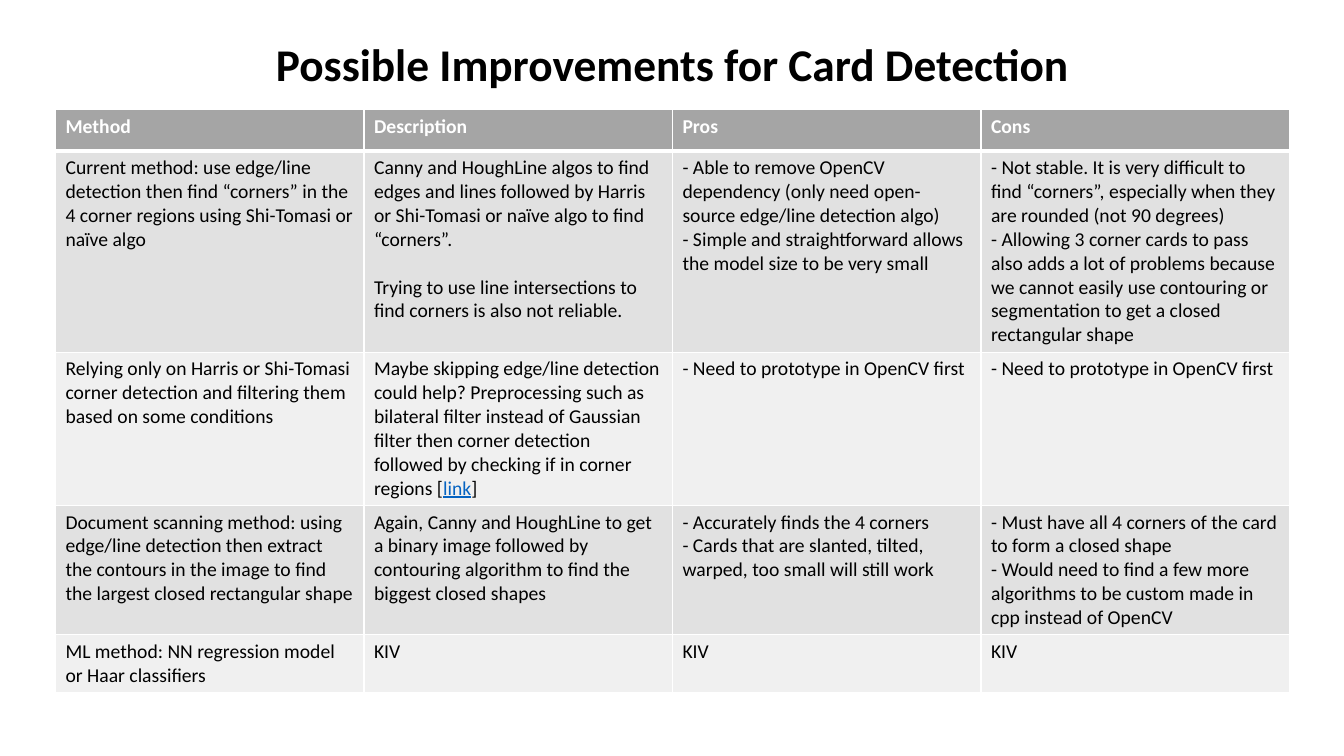
import pptx
import pptx.util
import pptx.dml.color
import pptx.enum.text
import pptx.oxml
import pptx.oxml.ns

Inches = pptx.util.Inches
Pt = pptx.util.Pt
RGBColor = pptx.dml.color.RGBColor

BLACK = RGBColor(0x00, 0x00, 0x00)
WHITE = RGBColor(0xFF, 0xFF, 0xFF)
HEAD = RGBColor(0xA5, 0xA5, 0xA5)
DARK = RGBColor(0xE1, 0xE1, 0xE1)
LIGHT = RGBColor(0xF0, 0xF0, 0xF0)
BLUE = RGBColor(0x05, 0x63, 0xC1)


def add_run(para, text, size, color, bold=False):
    run = para.add_run()
    run.text = text
    run.font.name = "Calibri"
    run.font.size = Pt(size)
    run.font.bold = bold
    run.font.color.rgb = color
    return run


def add_edge(cell, side, width):
    props = cell._tc.get_or_add_tcPr()
    props.append(pptx.oxml.parse_xml(
        f'<a:{side} {pptx.oxml.ns.nsdecls("a")} w="{Pt(width)}">'
        f'<a:solidFill><a:srgbClr val="{WHITE}"/></a:solidFill></a:{side}>'))


deck = pptx.Presentation()
deck.slide_width = Inches(13.33)
deck.slide_height = Inches(7.5)
slide = deck.slides.add_slide(deck.slide_layouts[5])

title = slide.shapes.title
title.left, title.top = Inches(0.92), Inches(0.4)
title.width, title.height = Inches(11.5), Inches(0.53)
frame = title.text_frame
frame.word_wrap = True
frame.auto_size = pptx.enum.text.MSO_AUTO_SIZE.NONE
frame.vertical_anchor = pptx.enum.text.MSO_ANCHOR.MIDDLE
para = frame.paragraphs[0]
para.alignment = pptx.enum.text.PP_ALIGN.CENTER
para.line_spacing = 0.9
add_run(para, "Possible Improvements for Card Detection", 32.4, BLACK, True)

LINK = "link"
rows = [
    [["Method"], ["Description"], ["Pros"], ["Cons"]],
    [
        ["Current method: use edge/line detection then find “corners” in the 4 corner regions using Shi-Tomasi or naïve algo"],
        ["Canny and HoughLine algos to find edges and lines followed by Harris or Shi-Tomasi or naïve algo to find “corners”.",
         "Trying to use line intersections to find corners is also not reliable."],
        ["- Able to remove OpenCV dependency (only need open-source edge/line detection algo)",
         "- Simple and straightforward allows the model size to be very small"],
        ["- Not stable. It is very difficult to find “corners”, especially when they are rounded (not 90 degrees)",
         "- Allowing 3 corner cards to pass also adds a lot of problems because we cannot easily use contouring or segmentation to get a closed rectangular shape"],
    ],
    [
        ["Relying only on Harris or Shi-Tomasi corner detection and filtering them based on some conditions"],
        [("Maybe skipping edge/line detection could help? Preprocessing such as bilateral filter instead of Gaussian filter then corner detection followed by checking if in corner regions [",
          LINK, "]")],
        ["- Need to prototype in OpenCV first"],
        ["- Need to prototype in OpenCV first"],
    ],
    [
        ["Document scanning method: using edge/line detection then extract the contours in the image to find the largest closed rectangular shape"],
        ["Again, Canny and HoughLine to get a binary image followed by contouring algorithm to find the biggest closed shapes"],
        ["- Accurately finds the 4 corners",
         "- Cards that are slanted, tilted, warped, too small will still work"],
        ["- Must have all 4 corners of the card to form a closed shape",
         "- Would need to find a few more algorithms to be custom made in cpp instead of OpenCV"],
    ],
    [["ML method: NN regression model or Haar classifiers"], ["KIV"], ["KIV"], ["KIV"]],
]
heights = [0.41, 1.98, 1.51, 1.28, 0.57]

table = slide.shapes.add_table(
    len(rows), 4, Inches(0.55), Inches(1.09), Inches(12.24), Inches(5.71)).table
for col in table.columns:
    col.width = Inches(3.06)

for r, row in enumerate(rows):
    table.rows[r].height = Inches(heights[r])
    fill = HEAD if r == 0 else DARK if r % 2 else LIGHT
    color = WHITE if r == 0 else BLACK
    for c, lines in enumerate(row):
        cell = table.cell(r, c)
        for side in ("lnL", "lnR", "lnT", "lnB"):
            thick = (r, side) in ((0, "lnB"), (1, "lnT"))
            add_edge(cell, side, 3 if thick else 1)
        cell.fill.solid()
        cell.fill.fore_color.rgb = fill
        for n, line in enumerate(lines):
            frame = cell.text_frame
            para = frame.add_paragraph() if n else frame.paragraphs[0]
            for part in (line if isinstance(line, tuple) else (line,)):
                run = add_run(para, part, 14, color, r == 0)
                if part == LINK:
                    run.font.color.rgb = BLUE
                    run.font.underline = True

table.cell(1, 1).text_frame.paragraphs[1].space_before = Pt(17)

deck.save("out.pptx")
